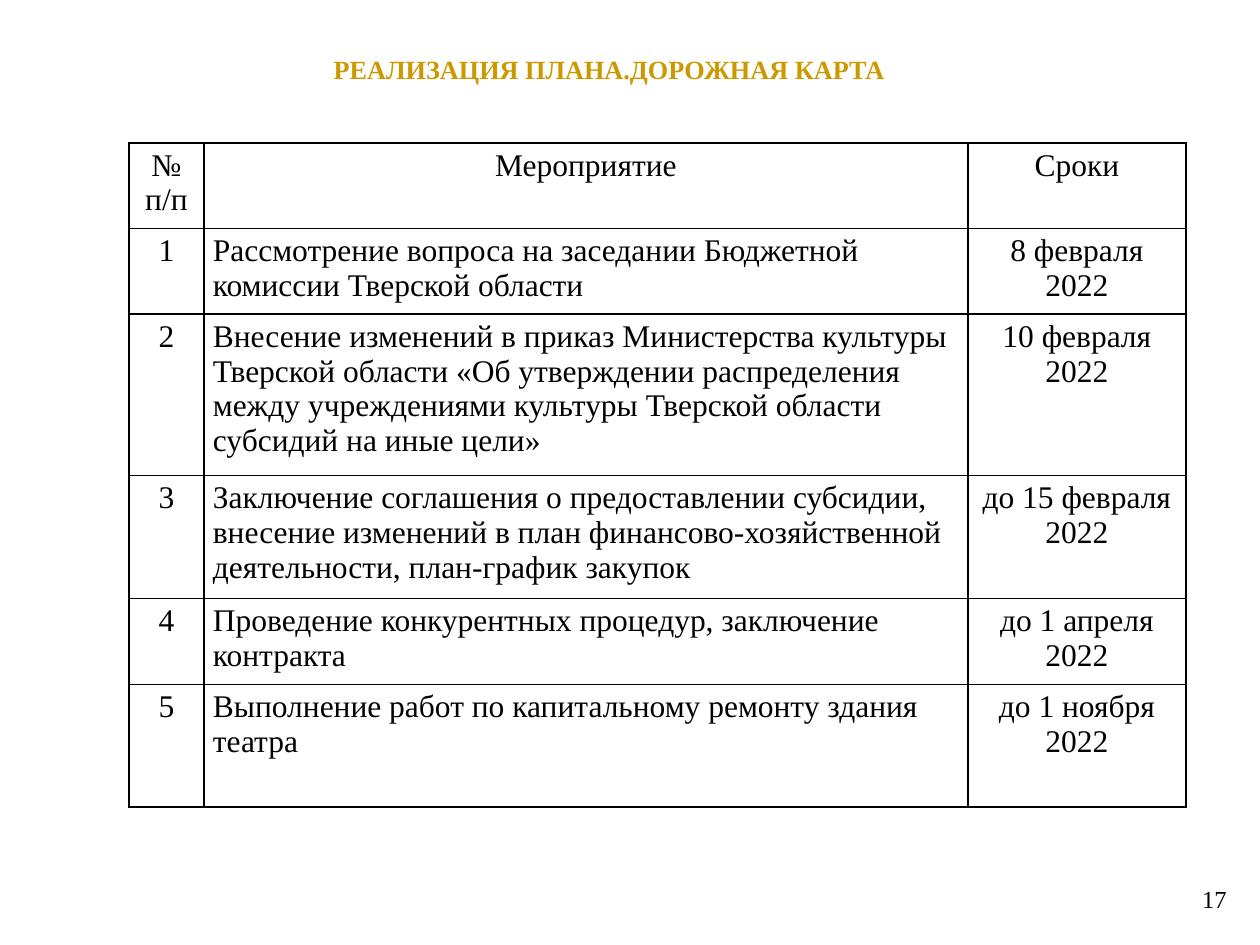
from dataclasses import dataclass

from pptx import Presentation
from pptx import util as u
from pptx.dml.color import RGBColor
from pptx.enum import text
from pptx.oxml import parse_xml
from pptx.oxml.ns import nsdecls

PX = 914400 / 126
COLORS = {"ink": "000000", "gold": "CC9900", "paper": "FFFFFF"}
FONT = "Times New Roman"
ALIGN = text.PP_ALIGN


@dataclass(frozen=True)
class Step:
    number: str
    activity: str
    deadline: str
    height: int


STEPS = [
    Step("№ п/п", "Мероприятие", "Сроки", 85),
    Step("1", "Рассмотрение вопроса на заседании Бюджетной комиссии Тверской области",
         "8 февраля 2022", 85),
    Step("2", "Внесение изменений в приказ Министерства культуры Тверской области "
         "«Об утверждении распределения между учреждениями культуры Тверской области "
         "субсидий на иные цели»", "10 февраля 2022", 161),
    Step("3", "Заключение соглашения о предоставлении субсидии, внесение изменений "
         "в план финансово-хозяйственной деятельности, план-график закупок",
         "до 15 февраля 2022", 123),
    Step("4", "Проведение конкурентных процедур, заключение контракта",
         "до 1 апреля 2022", 85),
    Step("5", "Выполнение работ по капитальному ремонту здания театра",
         "до 1 ноября 2022", 123),
]
COLUMN_WIDTHS = [75, 764, 218]


def px(length: int) -> int:
    return round(length * PX)


def set_all(target, values: dict) -> None:
    for name, value in values.items():
        setattr(target, name, value)


def write(frame, wording: str, size: int, align, color: str = "ink", bold: bool = False):
    frame.text = wording
    paragraph = frame.paragraphs[0]
    paragraph.alignment = align
    font = paragraph.runs[0].font
    set_all(font, {"name": FONT, "size": u.Pt(size), "bold": bold})
    font.color.rgb = RGBColor.from_string(COLORS[color])
    return paragraph


def add_borders(cell) -> None:
    properties = cell._tc.get_or_add_tcPr()
    for index, side in enumerate(("lnL", "lnR", "lnT", "lnB")):
        properties.insert(index, parse_xml(
            f'<a:{side} {nsdecls("a")} w="12700"><a:solidFill>'
            f'<a:srgbClr val="{COLORS["ink"]}"/></a:solidFill></a:{side}>'))


def add_title(slide) -> None:
    title = slide.shapes.title
    set_all(title, {"left": px(203), "top": px(50), "width": px(819), "height": px(42)})
    set_all(title.text_frame, {"word_wrap": True, "auto_size": text.MSO_AUTO_SIZE.NONE,
                               "vertical_anchor": text.MSO_ANCHOR.MIDDLE})
    heading = write(title.text_frame, "РЕАЛИЗАЦИЯ ПЛАНА.ДОРОЖНАЯ КАРТА ", 15,
                    ALIGN.CENTER, "gold", True)
    heading.line_spacing = 0.9


def add_roadmap(slide, steps: list[Step]) -> None:
    roadmap = slide.shapes.add_table(
        len(steps), len(COLUMN_WIDTHS), px(129), px(143),
        px(sum(COLUMN_WIDTHS)), px(sum(step.height for step in steps))).table
    set_all(roadmap, {"first_row": False, "horz_banding": False})
    for column, width in zip(roadmap.columns, COLUMN_WIDTHS):
        column.width = px(width)
    margins = {"margin_left": px(9), "margin_right": px(9),
               "margin_top": px(5), "margin_bottom": px(5)}
    for row_index, (row, step) in enumerate(zip(roadmap.rows, steps)):
        row.height = px(step.height)
        wordings = (step.number, step.activity, step.deadline)
        for column_index, (cell, wording) in enumerate(zip(row.cells, wordings)):
            set_all(cell, margins)
            cell.fill.solid()
            cell.fill.fore_color.rgb = RGBColor.from_string(COLORS["paper"])
            add_borders(cell)
            is_activity = row_index > 0 and column_index == 1
            write(cell.text_frame, wording, 18,
                  ALIGN.LEFT if is_activity else ALIGN.CENTER)


def add_page_number(slide) -> None:
    page_number = slide.shapes.add_textbox(px(1106), px(880), px(133), px(38))
    set_all(page_number.text_frame, {"word_wrap": True,
                                     "vertical_anchor": text.MSO_ANCHOR.MIDDLE})
    write(page_number.text_frame, "17", 14, ALIGN.RIGHT)


def main() -> None:
    deck = Presentation()
    set_all(deck, {"slide_width": px(1260), "slide_height": px(945)})
    slide = deck.slides.add_slide(deck.slide_layouts[5])
    add_page_number(slide)
    add_title(slide)
    add_roadmap(slide, STEPS)
    deck.save("out.pptx")


if __name__ == "__main__":
    main()
